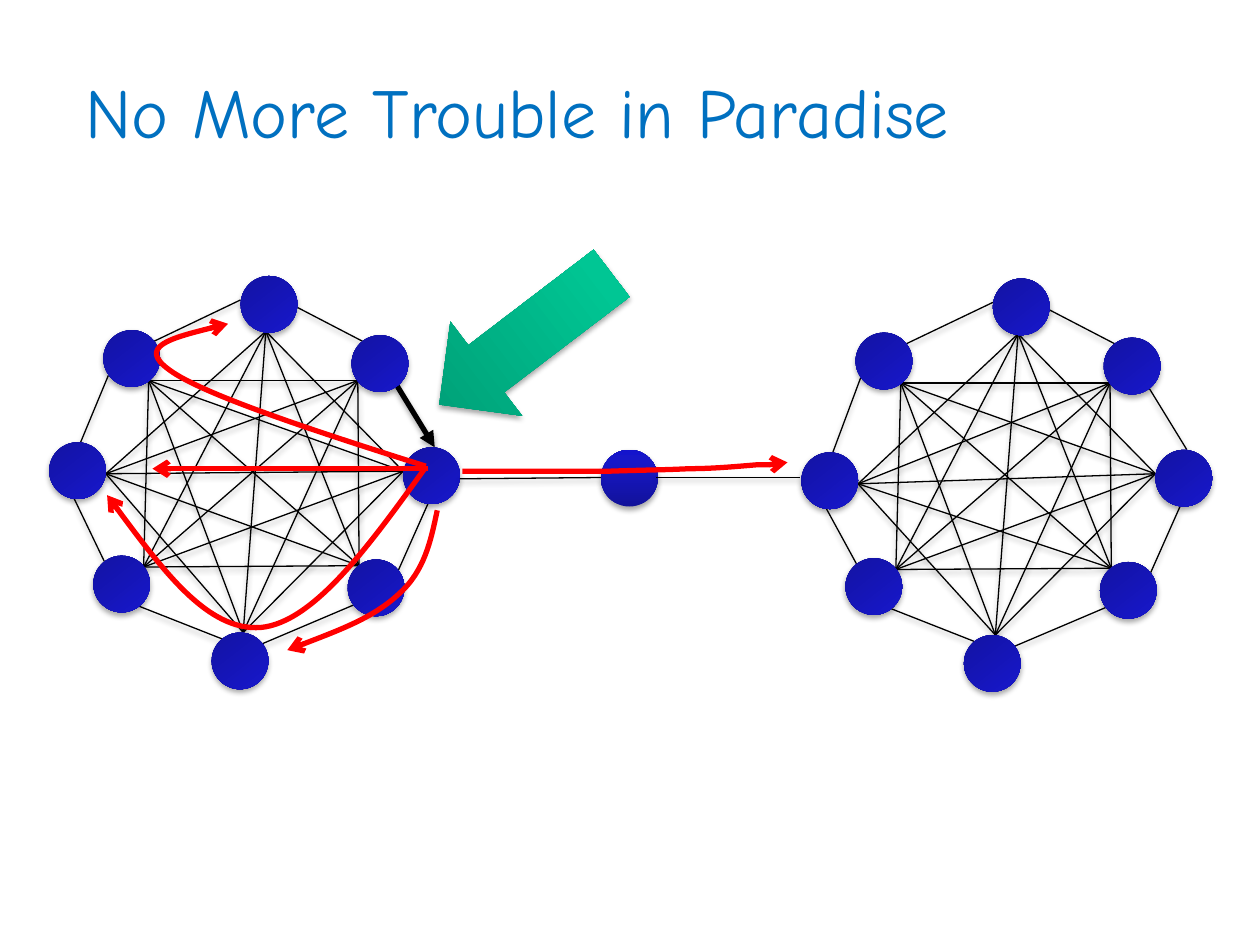
from copy import deepcopy
from itertools import combinations

from pptx import Presentation
from pptx.dml.color import RGBColor
from pptx.enum.shapes import MSO_CONNECTOR, MSO_SHAPE
from pptx.enum.text import MSO_ANCHOR, PP_ALIGN
from pptx.oxml import parse_xml
from pptx.oxml.ns import nsdecls, qn
from pptx.util import Inches, Pt

STRAIGHT = MSO_CONNECTOR.STRAIGHT
OVAL, DOWN_ARROW = MSO_SHAPE.OVAL, MSO_SHAPE.DOWN_ARROW
LEFT, MIDDLE = PP_ALIGN.LEFT, MSO_ANCHOR.MIDDLE

BLACK, RED, TITLE_BLUE = "000000", "FF0000", "0070C0"
BLUES = ["12129A", "1717C8", "1414CC"]
GREENS = ["009872", "00C694", "00C795"]
STOP_POSITIONS = [0, 0.8, 1]
NODE_SIZE = 0.45

SHADOW = (
    f'<a:effectLst {nsdecls("a")}>'
    '<a:outerShdw blurRad="40000" dist="23000" dir="5400000" rotWithShape="0">'
    '<a:srgbClr val="000000"><a:alpha val="35000"/></a:srgbClr>'
    '</a:outerShdw></a:effectLst>'
)
NO_SHADOW = f'<a:effectLst {nsdecls("a")}/>'

# Clockwise from the top: circle corner, inner link point, ring entry, ring exit
NODES = [
    ((1.91, 2.19), (2.11, 2.63), (1.91, 2.38), (2.36, 2.44)),
    ((2.79, 2.66), (2.84, 3.02), (2.88, 2.71), (3.15, 3.06)),
    ((3.20, 3.55), (3.20, 3.74), (3.45, 3.55), (3.40, 3.99)),
    ((2.76, 4.44), (2.85, 4.49), (3.16, 4.53), (2.81, 4.80)),
    ((1.68, 5.02), (1.93, 5.02), (2.08, 5.11), (1.76, 5.07)),
    ((0.74, 4.41), (1.14, 4.50), (1.10, 4.81), (0.83, 4.46)),
    ((0.39, 3.51), (0.84, 3.76), (0.59, 3.96), (0.64, 3.51)),
    ((0.82, 2.62), (1.18, 3.02), (0.86, 2.98), (1.22, 2.71)),
]
UPPER_RIGHT, LEFTMOST = 1, 6

# Start point, then two control points and an end point for each curve segment
MESSAGE_CURVES = [
    [(3.67, 3.74), (3.91, 3.74), (4.53, 3.74), (4.83, 3.74),
     (5.13, 3.73), (5.28, 3.73), (5.47, 3.72),
     (5.67, 3.72), (5.87, 3.70), (6.00, 3.69),
     (6.13, 3.69), (6.11, 3.69), (6.25, 3.67)],
    [(3.47, 4.05), (3.42, 4.29), (3.37, 4.53), (3.17, 4.71),
     (2.97, 4.90), (2.62, 5.03), (2.28, 5.16)],
    [(3.38, 3.70), (2.49, 3.42), (1.61, 3.13), (1.35, 2.94),
     (1.08, 2.75), (1.44, 2.66), (1.81, 2.57)],
    [(3.37, 3.72), (2.93, 4.33), (2.49, 4.94), (2.07, 4.98),
     (1.65, 5.01), (1.25, 4.47), (0.85, 3.93)],
]


def style_line(shape, color=BLACK, width=0.75, tail=None, shadow=SHADOW):
    shape.line.color.rgb = RGBColor.from_string(color)
    shape.line.width = Pt(width)
    properties = shape._element.spPr
    if tail:
        properties.find(qn("a:ln")).append(
            parse_xml(f'<a:tailEnd {nsdecls("a")} type="{tail}"/>'))
    properties.append(parse_xml(shadow))


def add_solid(kind, left, top, width, height, colors, rotation=0):
    """Add a borderless shape with a three-stop gradient and a soft shadow."""
    shape = page.shapes.add_shape(
        kind, Inches(left), Inches(top), Inches(width), Inches(height))
    shape.rotation = rotation
    shape.fill.gradient()
    shape.fill.gradient_angle = 90
    properties = shape._element.spPr
    stop_list = properties.find(".//" + qn("a:gsLst"))
    stop_list.insert(1, deepcopy(stop_list[0]))
    for stop, position, color in zip(shape.fill.gradient_stops, STOP_POSITIONS, colors):
        stop.position = position
        stop.color.rgb = RGBColor.from_string(color)
    shape.line.fill.background()
    properties.append(parse_xml(SHADOW))


deck = Presentation()
deck.slide_width, deck.slide_height = Inches(10), Inches(7.5)
page = deck.slides.add_slide(deck.slide_layouts[5])

title = page.shapes.title
title.left, title.top = Inches(0.58), Inches(0.25)
title.width, title.height = Inches(8.5), Inches(1.25)
title.text_frame.vertical_anchor = MIDDLE
para = title.text_frame.paragraphs[0]
para.alignment = LEFT
span = para.add_run()
span.text = "No More Trouble in Paradise"
span.font.size = Pt(40)
span.font.name = "Comic Neue"
span.font.color.rgb = RGBColor.from_string(TITLE_BLUE)

# Two rings of fully linked nodes; the right one has its leftmost node lower
for shift_x, shift_y, left_drop in [(0, 0, 0), (5.97, 0.02, 0.06)]:
    nodes = [
        [(x + shift_x, y + shift_y + (left_drop if index == LEFTMOST else 0))
         for x, y in node]
        for index, node in enumerate(NODES)
    ]
    for index, node in enumerate(nodes):
        start, end = node[3], nodes[(index + 1) % len(nodes)][2]
        ring_link = page.shapes.add_connector(STRAIGHT, *map(Inches, start + end))
        if index == UPPER_RIGHT and shift_x == 0:
            style_line(ring_link, width=3, tail="triangle")
        else:
            style_line(ring_link)
    for first, second in combinations(range(len(nodes)), 2):
        if second - first not in (1, len(nodes) - 1):
            ends = nodes[first][1] + nodes[second][1]
            style_line(page.shapes.add_connector(STRAIGHT, *map(Inches, ends)))
    for (left, top), *_ in nodes:
        add_solid(OVAL, left, top, NODE_SIZE, NODE_SIZE, BLUES, rotation=141.8)

# Bridge node between the rings, and the pointer to the new link
add_solid(OVAL, 4.77, 3.57, NODE_SIZE, NODE_SIZE, BLUES)
for ends in [(5.21, 3.79, 6.35, 3.79), (3.65, 3.8, 4.77, 3.79)]:
    style_line(page.shapes.add_connector(STRAIGHT, *map(Inches, ends)))
add_solid(DOWN_ARROW, 3.7, 1.83, 0.94, 1.72, GREENS, rotation=52.7)

# Red message routes
for points in MESSAGE_CURVES:
    start, *others = [(Inches(x), Inches(y)) for x, y in points]
    builder = page.shapes.build_freeform(*start)
    builder.add_line_segments(others, close=False)
    route = builder.convert_to_shape()
    segments = list(route._element.iter(qn("a:lnTo")))
    for index in range(0, len(segments), 3):
        curve = parse_xml(f'<a:cubicBezTo {nsdecls("a")}/>')
        segments[index].addprevious(curve)
        for segment in segments[index:index + 3]:
            curve.append(segment[0])
            segment.getparent().remove(segment)
    route.fill.background()
    style_line(route, RED, 3, "arrow", NO_SHADOW)

straight_route = page.shapes.add_connector(
    STRAIGHT, Inches(3.4), Inches(3.72), Inches(1.21), Inches(3.72))
style_line(straight_route, RED, 3, "arrow", NO_SHADOW)

deck.save("out.pptx")
